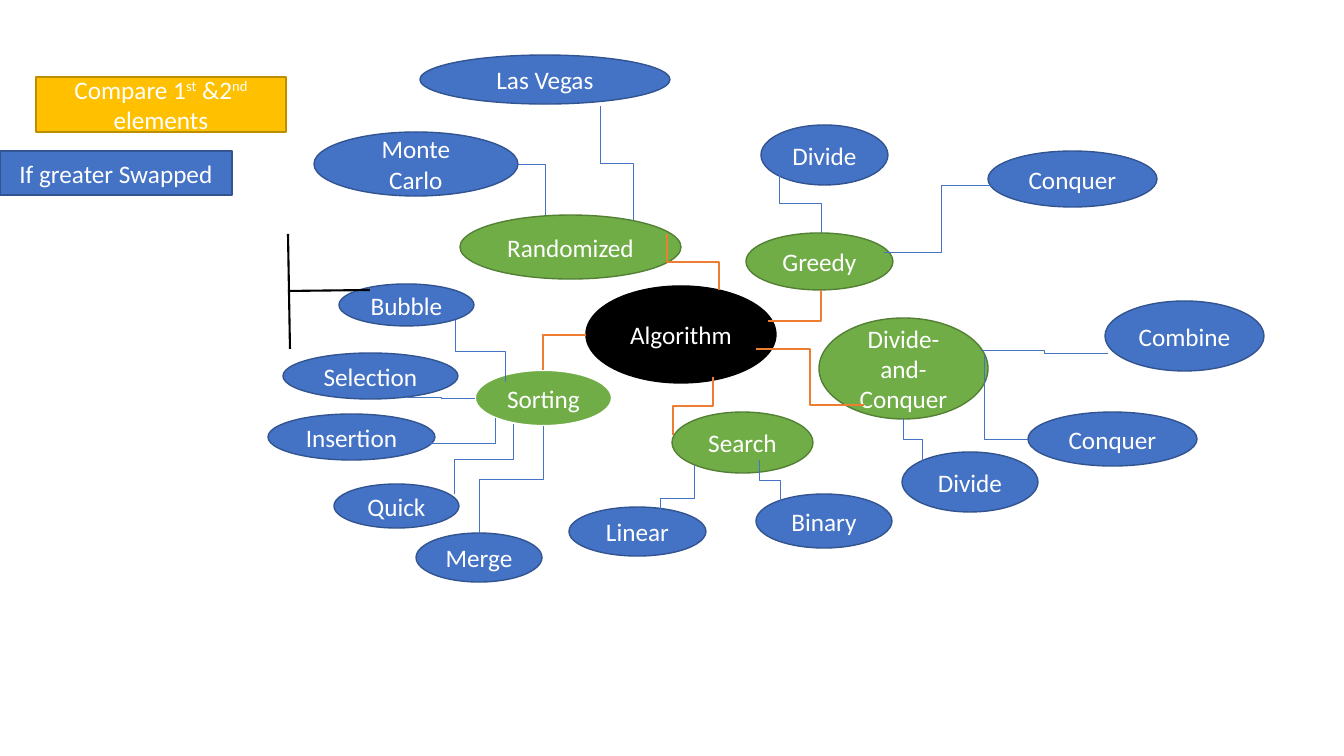
from dataclasses import dataclass

from lxml import etree
from pptx import Presentation
from pptx import util as u
from pptx.dml.color import RGBColor
from pptx.enum import shapes, text
from pptx.oxml.ns import qn

SCALE = 12192000 / 1344  # EMU per pixel


@dataclass(frozen=True)
class Theme:
    font: str = "Calibri"
    size: float = 18
    white: str = "FFFFFF"
    black: str = "000000"
    green: str = "70AD47"
    green_edge: str = "538035"
    blue: str = "4472C4"
    blue_edge: str = "325491"
    gold: str = "FFC000"
    gold_edge: str = "BD8E00"
    orange: str = "ED7D31"


THEME = Theme()

# Node styles: fill, edge, edge width
ROOT = (THEME.black, THEME.black, 1)
BRANCH = (THEME.green, THEME.green_edge, 1)
PLAIN_BRANCH = (THEME.green, THEME.white, 1.5)
LEAF = (THEME.blue, THEME.blue_edge, 1)
NOTE = (THEME.gold, THEME.gold_edge, 1)

# Link styles: colour, width
TRUNK = (THEME.orange, 1.5)
TWIG = (THEME.blue, 0.5)
RULE = (THEME.black, 1.5)

ELLIPSES = [
    ("Algorithm", (586, 286, 190, 97), ROOT),
    ("Randomized", (460, 215, 221, 64), BRANCH),
    ("Greedy", (746, 233, 147, 57), BRANCH),
    ("Sorting", (475, 370, 137, 56), PLAIN_BRANCH),
    ("Search", (672, 412, 141, 61), BRANCH),
    ("Divide-and-Conquer", (819, 318, 169, 101), BRANCH),
    ("Divide", (902, 452, 136, 60), LEAF),
    ("Conquer", (1028, 412, 169, 54), LEAF),
    ("Combine", (1105, 301, 159, 70), LEAF),
    ("Linear", (569, 507, 137, 49), LEAF),
    ("Binary", (756, 494, 136, 54), LEAF),
    ("Selection", (283, 353, 175, 46), LEAF),
    ("Bubble", (339, 284, 135, 42), LEAF),
    ("Insertion", (268, 414, 167, 46), LEAF),
    ("Quick", (334, 484, 125, 44), LEAF),
    ("Merge", (416, 533, 126, 49), LEAF),
    ("Las Vegas", (420, 55, 250, 49), LEAF),
    ("Monte Carlo", (314, 132, 204, 64), LEAF),
    ("Divide", (761, 125, 127, 60), LEAF),
    ("Conquer", (988, 151, 169, 56), LEAF),
]

# Links that leave downwards, turn sideways and go down again
STEPS_DOWN = [
    ((667, 234), (719, 290), TRUNK),
    ((713, 377), (673, 435), TRUNK),
    ((513, 424), (454, 494), TWIG),
    ((543, 426), (479, 533), TWIG),
    ((694, 465), (660, 532), TWIG),
    ((759, 460), (780, 501), TWIG),
    ((903, 418), (922, 461), TWIG),
    ((600, 106), (633, 220), TWIG),
    ((779, 173), (821, 233), TWIG),
    ((455, 320), (505, 382), TWIG),
]

# Links that leave sideways, with two turns
STEPS_ACROSS = [
    ((864, 405), (756, 349), TRUNK),
    ((407, 397), (475, 398), TWIG),
    ((999, 185), (884, 252), TWIG),
    ((981, 350), (1108, 353), TWIG),
]

# Links that leave sideways, with one turn
CORNERS = [
    ((586, 335), (543, 370), TRUNK),
    ((768, 321), (821, 290), TRUNK),
    ((420, 443), (495, 418), TWIG),
    ((1028, 439), (984, 355), TWIG),
    ((518, 164), (545, 215), TWIG),
]

STRAIGHTS = [
    ((288, 291), (370, 290), RULE),
    ((290, 349), (288, 234), RULE),
]


def px(value):
    return u.Emu(round(value * SCALE))


def apply(target, values):
    for name, value in values.items():
        setattr(target, name, value)


def add_node(page, kind, spans, bounds, style):
    """Add a filled shape; spans are (wording, is_superscript) pairs."""
    fill, edge, width = style
    box = page.shapes.add_shape(kind, *map(px, bounds))
    box.shadow.inherit = False
    box.fill.solid()
    box.fill.fore_color.rgb = RGBColor.from_string(fill)
    box.line.color.rgb = RGBColor.from_string(edge)
    box.line.width = u.Pt(width)
    apply(box.text_frame, {"word_wrap": True,
                           "vertical_anchor": text.MSO_ANCHOR.MIDDLE})
    para = box.text_frame.paragraphs[0]
    para.alignment = text.PP_ALIGN.CENTER
    for wording, raised in spans:
        span = para.add_run()
        span.text = wording
        apply(span.font, {"name": THEME.font, "size": u.Pt(THEME.size)})
        span.font.color.rgb = RGBColor.from_string(THEME.white)
        if raised:
            span.font._element.set("baseline", "30000")


def add_link(page, start, end, style, kind=shapes.MSO_CONNECTOR.ELBOW):
    colour, width = style
    link = page.shapes.add_connector(kind, *map(px, (*start, *end)))
    link.line.color.rgb = RGBColor.from_string(colour)
    link.line.width = u.Pt(width)
    etree.SubElement(link._element.spPr, qn("a:effectLst"))
    return link


def add_step_down(page, start, end, style):
    """Lay the elbow on its side, then turn it a quarter clockwise."""
    (x1, y1), (x2, y2) = start, end
    mid_x, mid_y = (x1 + x2) / 2, (y1 + y2) / 2
    half_w, half_h = (x2 - x1) / 2, (y2 - y1) / 2
    link = add_link(page, (mid_x - half_h, mid_y + half_w),
                    (mid_x + half_h, mid_y - half_w), style)
    link._element.spPr.find(qn("a:xfrm")).set("rot", "5400000")


def add_corner(page, start, end, style):
    link = add_link(page, start, end, style)
    link._element.spPr.find(qn("a:prstGeom")).set("prst", "bentConnector2")


def main():
    deck = Presentation()
    apply(deck, {"slide_width": px(1344), "slide_height": px(756)})
    page = deck.slides.add_slide(deck.slide_layouts[6])

    # Mind map nodes
    for wording, bounds, style in ELLIPSES:
        add_node(page, shapes.MSO_SHAPE.OVAL, [(wording, False)], bounds, style)

    # Links between nodes
    for link in STEPS_DOWN:
        add_step_down(page, *link)
    for link in STEPS_ACROSS:
        add_link(page, *link)
    for link in CORNERS:
        add_corner(page, *link)
    for link in STRAIGHTS:
        add_link(page, *link, shapes.MSO_CONNECTOR.STRAIGHT)

    # Bubble sort notes
    compare = [("Compare 1", False), ("st", True), (" &2", False),
               ("nd", True), (" elements", False)]
    swap = [("If greater Swapped", False)]
    add_node(page, shapes.MSO_SHAPE.RECTANGLE, compare, (36, 77, 250, 55), NOTE)
    add_node(page, shapes.MSO_SHAPE.RECTANGLE, swap, (0, 151, 232, 44), LEAF)

    deck.save("out.pptx")


main()
